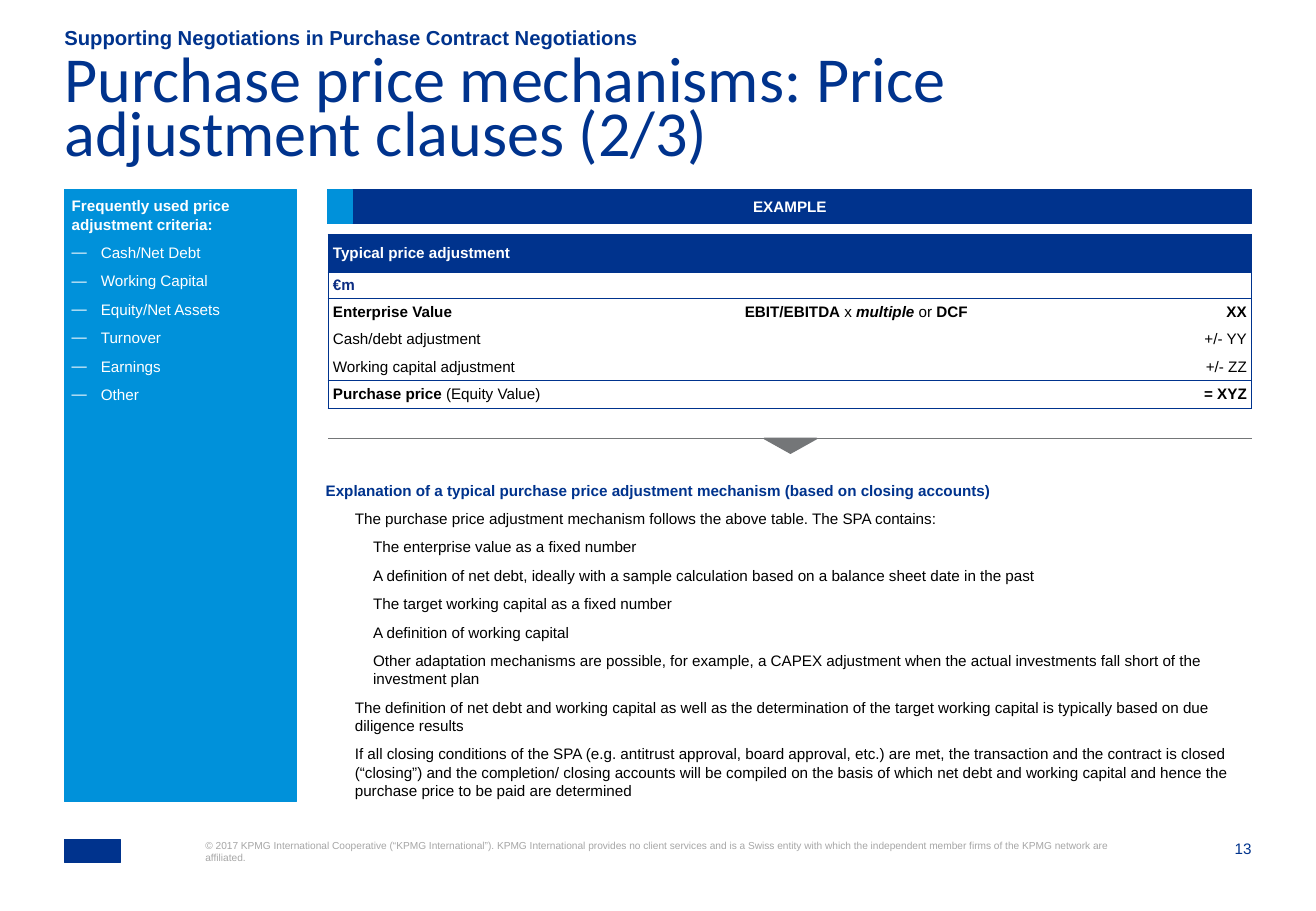
from dataclasses import dataclass
from typing import NamedTuple

from lxml import etree
from pptx import Presentation, util as u
from pptx.dml import color as dc
from pptx.enum import shapes as sh, text as tx
from pptx.oxml import ns

NAVY, BLUE, GRAY, PALE = "00338D", "0091DA", "747678", "A6A6A6"
WHITE, BLACK = "FFFFFF", "000000"
LEFT, MID, RIGHT = tx.PP_ALIGN.LEFT, tx.PP_ALIGN.CENTER, tx.PP_ALIGN.RIGHT
TOP, CENTER, BASE = tx.MSO_ANCHOR.TOP, tx.MSO_ANCHOR.MIDDLE, tx.MSO_ANCHOR.BOTTOM


class Run(NamedTuple):
    text: str
    bold: bool = False
    color: str = BLACK
    size: float = 9
    italic: bool = False
    face: str = "Arial"


@dataclass
class Para:
    runs: list[Run]
    align: int = LEFT
    after: float = 0
    indent: float = 0
    bullet: str = ""
    space: float = 1.0


class Box(NamedTuple):
    x: float
    y: float
    w: float
    h: float


@dataclass
class Block:
    kind: int
    box: Box
    fill: str
    width: float = 1
    turn: float = 0


@dataclass
class Cell:
    row: int
    col: int
    runs: list[Run]
    span: int = 1
    fill: str = WHITE


def paint(item, color: str) -> None:
    """Colour a fill, or the fill of a line."""
    item.solid()
    item.fore_color.rgb = dc.RGBColor.from_string(color)


def put(obj, vals: dict) -> None:
    for name, val in vals.items():
        setattr(obj, name, val)


def tag(root, name: str, **vals):
    return etree.SubElement(root, ns.qn(name), **vals)


def write(frame, paras: list[Para], inset: float = 0, anchor=TOP) -> None:
    gap = u.Inches(inset)
    put(frame, dict(word_wrap=True, auto_size=tx.MSO_AUTO_SIZE.NONE,
                    vertical_anchor=anchor, margin_left=gap, margin_right=gap,
                    margin_top=gap, margin_bottom=gap))
    fill_in(frame, paras)


def fill_in(frame, paras: list[Para]) -> None:
    for i, item in enumerate(paras):
        para = frame.add_paragraph() if i else frame.paragraphs[0]
        if item.indent:
            props = para._p.get_or_add_pPr()
            step = u.Inches(item.indent)
            props.set("marL", str(step))
            props.set("indent", str(-step if item.bullet else 0))
            if item.bullet:
                tag(props, "a:buFont", typeface="Arial")
                tag(props, "a:buChar", char=item.bullet)
        put(para, dict(alignment=item.align, space_before=u.Pt(0),
                       space_after=u.Pt(item.after), line_spacing=item.space))
        for part in item.runs:
            run = para.add_run()
            run.text = part.text
            put(run.font, dict(name=part.face, size=u.Pt(part.size),
                               bold=part.bold, italic=part.italic))
            paint(run.font.fill, part.color)


def place(box: Box) -> list[int]:
    return [u.Inches(v) for v in box]


def label(slide, box: Box, paras: list[Para], anchor=TOP) -> None:
    write(slide.shapes.add_textbox(*place(box)).text_frame, paras, 0, anchor)


def draw(slide, block: Block):
    shape = slide.shapes.add_shape(block.kind, *place(block.box))
    shape.shadow.inherit = False
    shape.rotation = block.turn
    paint(shape.fill, block.fill)
    paint(shape.line.fill, block.fill)
    shape.line.width = u.Pt(block.width)
    return shape


def edge(cell, sides: str) -> None:
    """Rule the named sides of a cell and clear the others."""
    props = cell._tc.get_or_add_tcPr()
    for side in "LRTB":
        line = tag(props, f"a:ln{side}", w=str(u.Pt(0.75)))
        if side in sides:
            tag(tag(line, "a:solidFill"), "a:srgbClr", val=NAVY)
        else:
            tag(line, "a:noFill")


def grid(slide, box: Box, cols: list[float], rows: list[float],
         cells: list[Cell]) -> None:
    table = slide.shapes.add_table(len(rows), len(cols), *place(box)).table
    for col, size in zip(table.columns, cols):
        col.width = u.Inches(size)
    for row, size in zip(table.rows, rows):
        row.height = u.Inches(size)
    last, foot, ruled = len(cols) - 1, len(rows) - 1, (0, 1, 2, 5)
    ends = {(c.row, c.col): c.col + c.span - 1 for c in cells}
    gap = u.Inches(0.04)
    for r in range(len(rows)):
        for c in range(len(cols)):
            cell = table.cell(r, c)
            sides = "L" if c == 0 else ""
            sides += "R" if ends.get((r, c), c) == last else ""
            sides += "T" if r in ruled else ""
            sides += "B" if r == foot or r + 1 in ruled else ""
            edge(cell, sides)
            paint(cell.fill, WHITE)
            put(cell, dict(margin_left=gap, margin_right=gap, margin_top=gap,
                           margin_bottom=gap, vertical_anchor=CENTER))
            # Small type in blank cells too, so that rows keep their height
            tag(cell.text_frame.paragraphs[0]._p, "a:endParaRPr", sz="900")
    for item in cells:
        cell = table.cell(item.row, item.col)
        if item.span > 1:
            cell.merge(table.cell(item.row, item.col + item.span - 1))
        paint(cell.fill, item.fill)
        fill_in(cell.text_frame,
                [Para(item.runs, RIGHT if item.col == last else LEFT)])


CRITERIA = ["Cash/Net Debt", "Working Capital", "Equity/Net Assets",
            "Turnover", "Earnings", "Other"]

# Indent and wording of each explanation
NOTES = [
    (0.24, "The purchase price adjustment mechanism follows the above table. The SPA contains:"),
    (0.39, "The enterprise value as a fixed number"),
    (0.39, "A definition of net debt, ideally with a sample calculation based on a balance sheet date in the past"),
    (0.39, "The target working capital as a fixed number"),
    (0.39, "A definition of working capital"),
    (0.39, "Other adaptation mechanisms are possible, for example, a CAPEX adjustment when the actual investments fall short of the investment plan"),
    (0.24, "The definition of net debt and working capital as well as the determination of the target working capital is typically based on due diligence results"),
    (0.24, "If all closing conditions of the SPA (e.g. antitrust approval, board approval, etc.) are met, the transaction and the contract is closed (“closing”) and the completion/ closing accounts will be compiled on the basis of which net debt and working capital and hence the purchase price to be paid are determined"),
]

CELLS = [
    Cell(0, 0, [Run("Typical price adjustment", True, WHITE)], 3, NAVY),
    Cell(1, 0, [Run("€m", True, "0C2D83")], 3),
    Cell(2, 0, [Run("Enterprise Value", True)]),
    Cell(2, 1, [Run("EBIT/EBITDA", True), Run(" x "),
                Run("multiple ", True, italic=True), Run("or "), Run("DCF", True)]),
    Cell(2, 2, [Run("XX", True)]),
    Cell(3, 0, [Run("Cash/debt adjustment")]),
    Cell(3, 2, [Run("+/- YY")]),
    Cell(4, 0, [Run("Working capital adjustment")], 2),
    Cell(4, 2, [Run("+/- ZZ")]),
    Cell(5, 0, [Run("Purchase price ", True), Run("(Equity Value)")]),
    Cell(5, 2, [Run("= XYZ", True)]),
]

LEGAL = "© 2017 KPMG International Cooperative (“KPMG International”). KPMG International provides no client services and is a Swiss entity with which the independent member firms of the KPMG network are affiliated."


def main() -> None:
    deck = Presentation()
    put(deck, dict(slide_width=u.Inches(10.83), slide_height=u.Inches(7.5)))
    slide = deck.slides.add_slide(deck.slide_layouts[5])

    # Heading
    title = slide.shapes.title
    put(title, dict(zip(("left", "top", "width", "height"),
                        place(Box(0.53, 0.49, 9.75, 0.79)))))
    write(title.text_frame, [Para([Run(
        "Purchase price mechanisms: Price adjustment clauses (2/3)",
        color=NAVY, size=38, face="Calibri")], space=0.7)])
    label(slide, Box(0.53, 0.22, 9.4, 0.19), [Para([Run(
        "Supporting Negotiations in Purchase Contract Negotiations",
        True, NAVY, 12)])], BASE)

    # Criteria panel
    rect = sh.MSO_SHAPE.RECTANGLE
    panel = draw(slide, Block(rect, Box(0.53, 1.56, 1.91, 5.04), BLUE, 0.75))
    head = Para([Run("Frequently used price adjustment criteria:", True, WHITE)], after=6)
    write(panel.text_frame, [head] + [
        Para([Run(name, color=WHITE)], after=6, indent=0.24, bullet="—")
        for name in CRITERIA], 0.06)

    # Example banner and table
    banner = draw(slide, Block(rect, Box(2.7, 1.56, 7.6, 0.28), NAVY))
    write(banner.text_frame, [Para([Run("EXAMPLE", True, WHITE)], MID)], 0.06, CENTER)
    draw(slide, Block(rect, Box(2.7, 1.56, 0.2, 0.28), BLUE))
    grid(slide, Box(2.7, 1.93, 7.6, 1.41), [3.39, 2.91, 1.3],
         [0.31] + [0.22] * 5, CELLS)

    # Divider with pointer
    ends = [u.Inches(v) for v in (2.7, 3.61, 10.3, 3.61)]
    rule = slide.shapes.add_connector(sh.MSO_CONNECTOR.STRAIGHT, *ends)
    paint(rule.line.fill, GRAY)
    rule.line.width = u.Pt(0.5)
    tag(rule._element.spPr, "a:effectLst")
    draw(slide, Block(sh.MSO_SHAPE.ISOSCELES_TRIANGLE,
                      Box(6.29, 3.61, 0.43, 0.12), GRAY, turn=180))

    # Explanation
    head = Para([Run("Explanation of a typical purchase price adjustment mechanism (based on closing accounts)", True, NAVY)], after=6)
    label(slide, Box(2.68, 3.96, 7.62, 2.63), [head] + [
        Para([Run(note)], after=6, indent=step) for step, note in NOTES])

    # Footer
    draw(slide, Block(rect, Box(0.53, 6.91, 0.46, 0.19), NAVY, 0.5))
    label(slide, Box(1.69, 6.91, 7.49, 0.41), [Para([Run(LEGAL, color=PALE, size=6)])])
    label(slide, Box(9.87, 6.91, 0.43, 0.16), [Para([Run("13", color=NAVY)], RIGHT)])
    deck.save("out.pptx")


if __name__ == "__main__":
    main()
